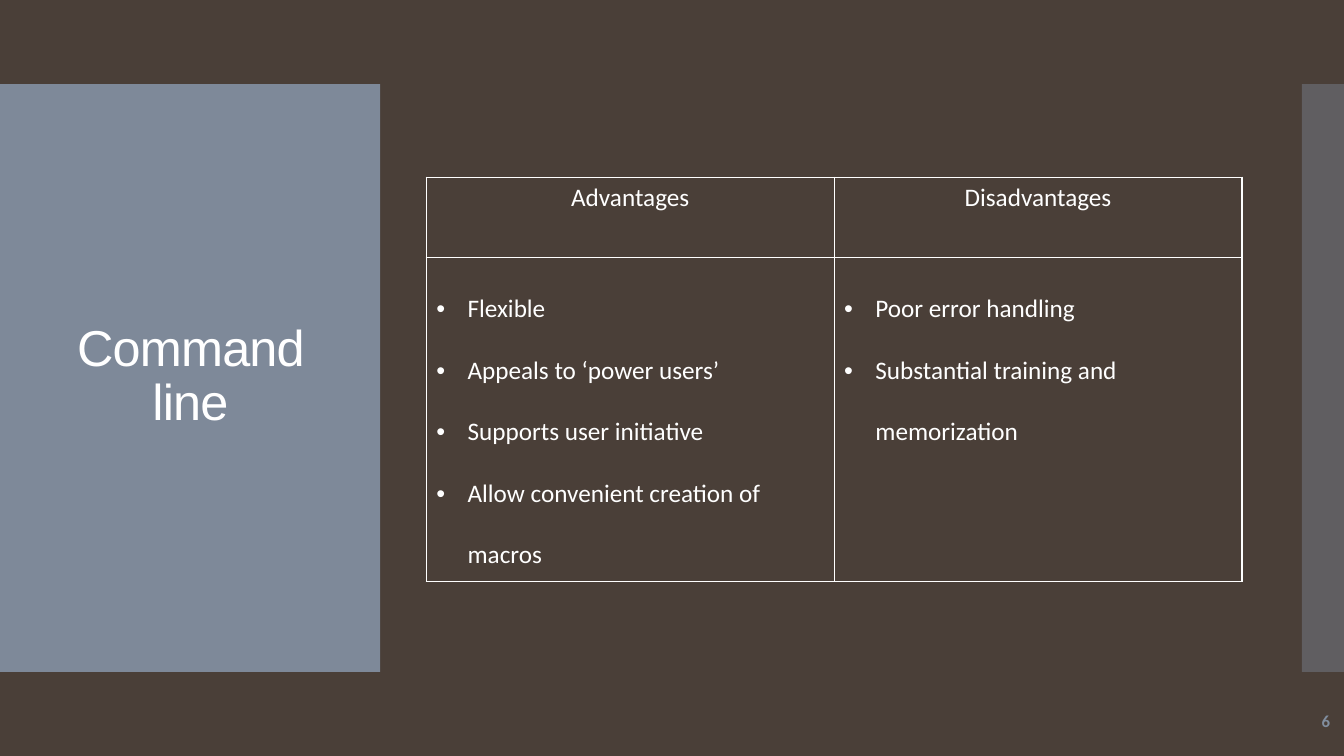
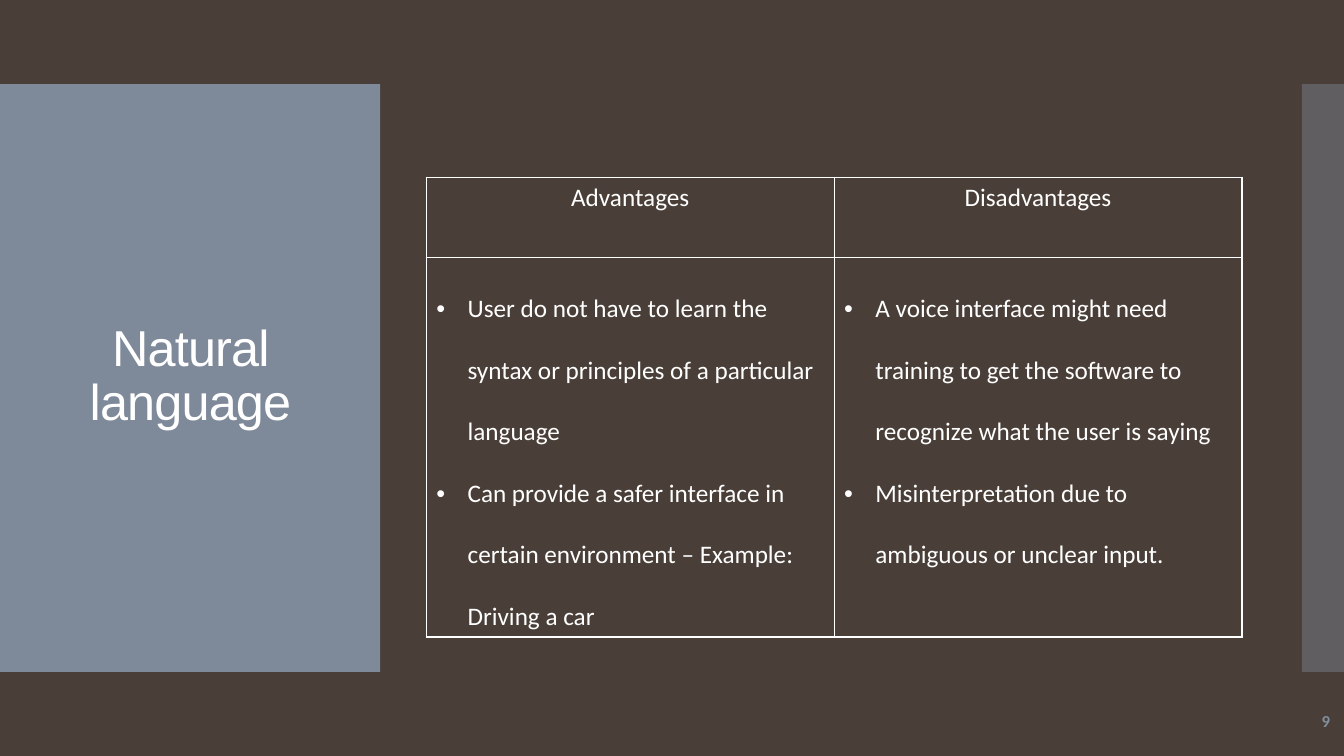
from dataclasses import dataclass

from lxml import etree
from pptx import Presentation
from pptx import util as u
from pptx.dml.color import RGBColor
from pptx.enum import shapes, text
from pptx.oxml import ns

COLS, ROWS = 32, 18


@dataclass(frozen=True)
class Theme:
    back: str = "4A3F38"
    accent: str = "818E9F"
    ink: str = "FFFFFF"
    head_font: str = "Arial"
    body_font: str = "Calibri"
    title_size: int = 36
    body_size: int = 18
    number_size: int = 12
    tracking: int = -60
    border: float = 1
    indent: float = 0.31


T = Theme()
TITLE = dict(name=T.head_font, size=u.Pt(T.title_size), color=T.ink)
BODY = dict(name=T.body_font, size=u.Pt(T.body_size), color=T.ink)
NUMBER = dict(name=T.body_font, size=u.Pt(T.number_size), color=T.accent, bold=True)

BANDS = [((0, 2, 9.05, 14), 95), ((31, 2, 1, 14), 40)]
TITLE_BOX = (0.67, 2.95, 7.73, 12.07)
TABLE_BOX = (10.15, 4.22, 19.42, 9.62)
NUMBER_BOX = (27.91, 16.68, 4, 0.96)
HEADER_ROWS = 1.92
HEADERS = ("Advantages", "Disadvantages")

SLIDES = [
    ("Command line", "6",
     ["Flexible", "Appeals to ‘power users’", "Supports user initiative",
      "Allow convenient creation of macros"],
     ["Poor error handling", "Substantial training and memorization"]),
    ("Natural language", "9",
     ["User do not have to learn the syntax or principles of a particular language",
      "Can provide a safer interface in certain environment – Example: Driving a car"],
     ["A voice interface might need training to get the software to recognize "
      "what the user is saying",
      "Misinterpretation due to ambiguous or unclear input."]),
]


def col(n):
    return u.Inches(13.333 * n / COLS)


def row(n):
    return u.Inches(7.5 * n / ROWS)


def box(x, y, w, h):
    return col(x), row(y), col(w), row(h)


def sub(parent, tag, **attrs):
    return etree.SubElement(parent, ns.qn(tag), {k: str(v) for k, v in attrs.items()})


def write(p, words, style, align, spacing=None):
    p.alignment = align
    p.line_spacing = spacing
    r = p.add_run()
    r.text = words
    for key, value in style.items():
        if key == "color":
            r.font.color.rgb = RGBColor.from_string(value)
        else:
            setattr(r.font, key, value)
    return r


def bullet(p):
    pPr = p._p.get_or_add_pPr()
    indent = u.Inches(T.indent)
    pPr.set("marL", str(indent))
    pPr.set("indent", str(-indent))
    sub(pPr, "a:buFont", typeface="Arial")
    sub(pPr, "a:buChar", char="•")


def add_band(slide, layout, place, alpha):
    sp = slide.shapes.add_shape(shapes.MSO_SHAPE.RECTANGLE, *box(*place))
    sp.shadow.inherit = False
    sp.line.fill.background()
    sp.fill.solid()
    sp.fill.fore_color.rgb = RGBColor.from_string(T.accent)
    rgb = sp._element.spPr.find(".//" + ns.qn("a:srgbClr"))
    sub(rgb, "a:alpha", val=alpha * 1000)
    layout.shapes._spTree.insert(2, sp._element)


def style_layout(slide, layout):
    fill = layout.background.fill
    fill.solid()
    fill.fore_color.rgb = RGBColor.from_string(T.back)
    for place, alpha in BANDS:
        add_band(slide, layout, place, alpha)


def set_frame(tf):
    tf.word_wrap = True
    tf.auto_size = text.MSO_AUTO_SIZE.NONE
    tf.vertical_anchor = text.MSO_ANCHOR.MIDDLE
    return tf.paragraphs[0]


def add_title(slide, words):
    sp = slide.shapes.title
    sp.left, sp.top, sp.width, sp.height = box(*TITLE_BOX)
    r = write(set_frame(sp.text_frame), words, TITLE, text.PP_ALIGN.CENTER, 0.9)
    r.font._element.set("spc", str(T.tracking))


def add_number(slide, number):
    sp = slide.shapes.add_textbox(*box(*NUMBER_BOX))
    write(set_frame(sp.text_frame), number, NUMBER, text.PP_ALIGN.RIGHT)


def frame_cell(cell):
    tcPr = cell._tc.get_or_add_tcPr()
    for side in ("a:lnL", "a:lnR", "a:lnT", "a:lnB"):
        ln = sub(tcPr, side, w=u.Pt(T.border))
        sub(sub(ln, "a:solidFill"), "a:srgbClr", val=T.ink)
    cell.fill.background()


def add_comparison(slide, columns):
    table = slide.shapes.add_table(2, len(columns), *box(*TABLE_BOX)).table
    table.first_row = table.horz_banding = False
    table.rows[0].height = row(HEADER_ROWS)
    table.rows[1].height = row(TABLE_BOX[3] - HEADER_ROWS)
    for cell in table.iter_cells():
        frame_cell(cell)
    for i, (header, items) in enumerate(zip(HEADERS, columns)):
        write(table.cell(0, i).text_frame.paragraphs[0], header, BODY, text.PP_ALIGN.CENTER)
        tf = table.cell(1, i).text_frame
        for n, item in enumerate(items):
            p = tf.add_paragraph() if n else tf.paragraphs[0]
            write(p, item, BODY, text.PP_ALIGN.LEFT, 2.0)
            bullet(p)


def main():
    prs = Presentation()
    prs.slide_width, prs.slide_height = col(COLS), row(ROWS)
    layout = prs.slide_layouts.get_by_name("Title Only")
    for i, (title, number, *columns) in enumerate(SLIDES):
        slide = prs.slides.add_slide(layout)
        if i == 0:
            style_layout(slide, layout)
        add_title(slide, title)
        add_comparison(slide, columns)
        add_number(slide, number)
    prs.save("out.pptx")


if __name__ == "__main__":
    main()
